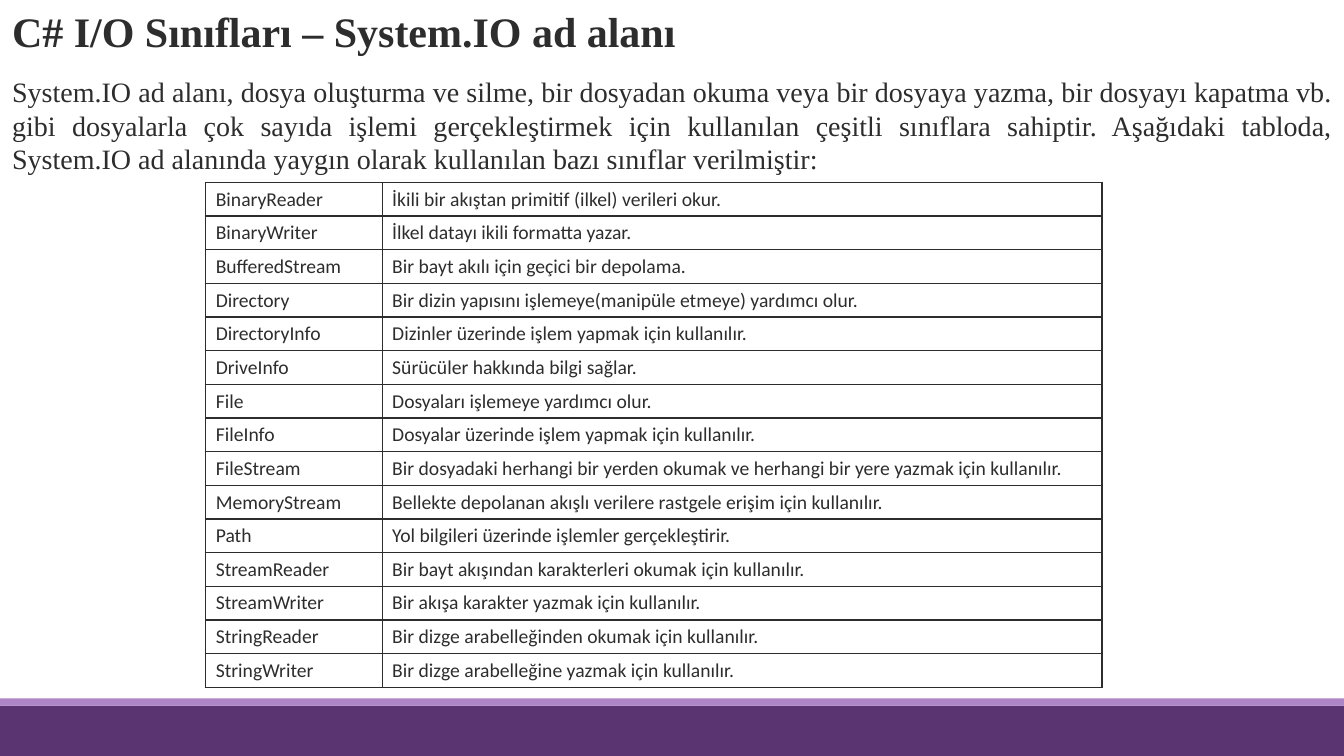
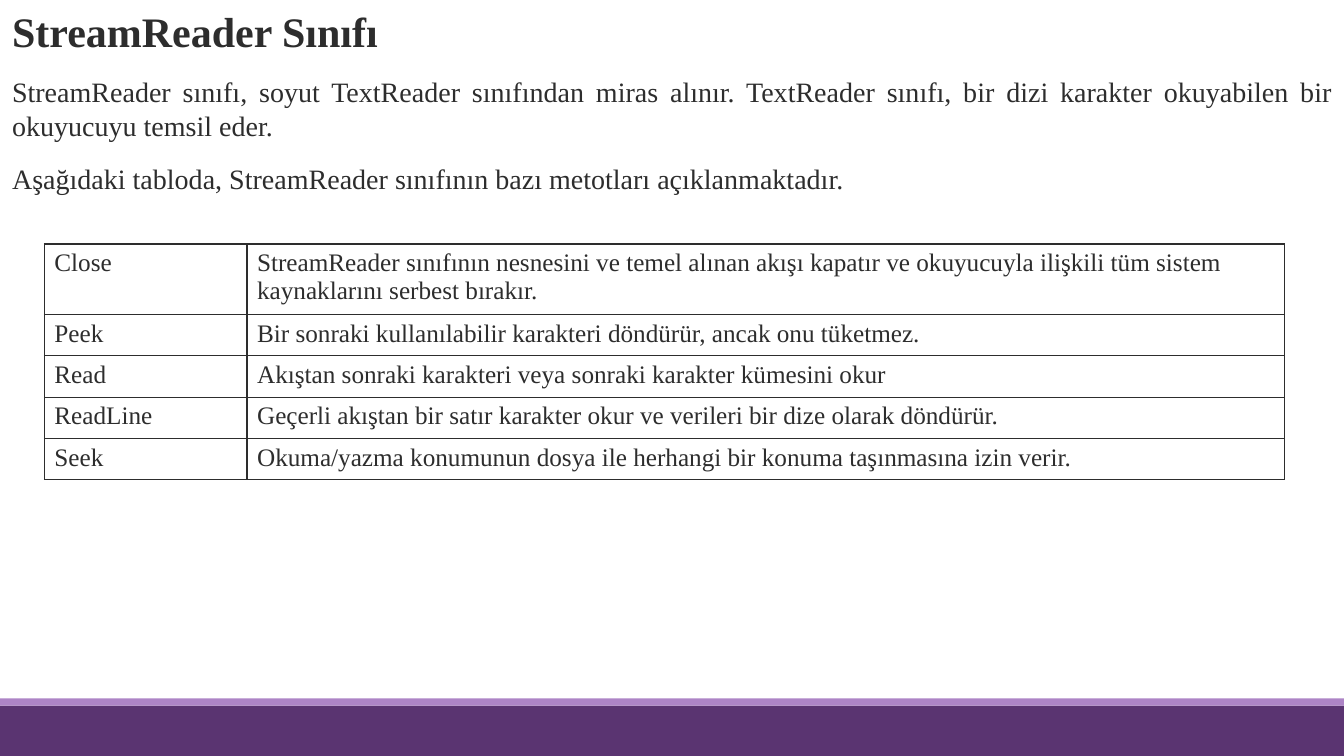
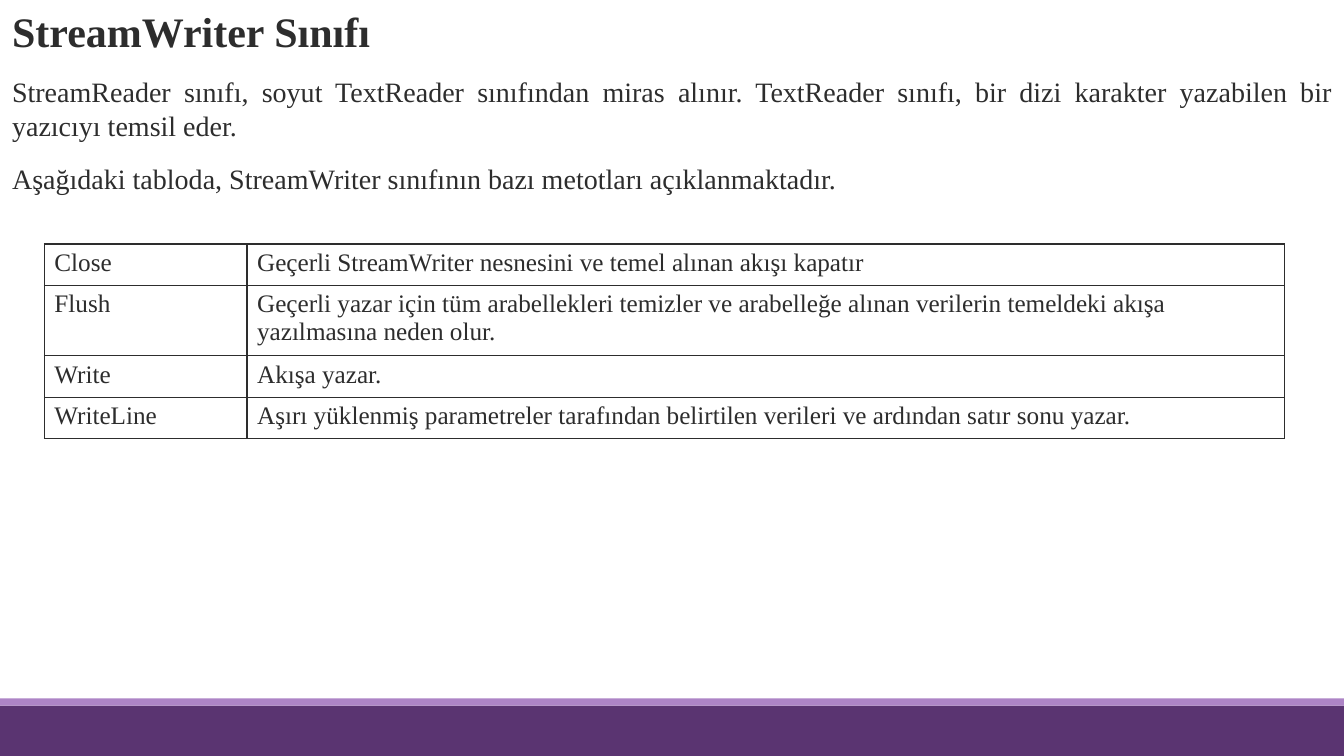
from lxml.etree import SubElement as Sub
from pptx import Presentation
from pptx.dml.color import RGBColor
from pptx.enum.shapes import MSO_SHAPE as Shape
from pptx.enum.text import MSO_ANCHOR as Anchor, PP_ALIGN as Align
from pptx.oxml.ns import qn
from pptx.util import Inches, Pt

INK, DARK, LIGHT = "2D2D2D", "5A3471", "AD84C6"
SERIF, SANS = "Times New Roman", "Calibri"
WIDE, HIGH = 13.33, 7.5

CLASSES = [
    ("BinaryReader", "İkili bir akıştan primitif (ilkel) verileri okur."),
    ("BinaryWriter", "İlkel datayı ikili formatta yazar."),
    ("BufferedStream", "Bir bayt akılı için geçici bir depolama."),
    ("Directory", "Bir dizin yapısını işlemeye(manipüle etmeye) yardımcı olur."),
    ("DirectoryInfo", "Dizinler üzerinde işlem yapmak için kullanılır."),
    ("DriveInfo", "Sürücüler hakkında bilgi sağlar."),
    ("File", "Dosyaları işlemeye yardımcı olur."),
    ("FileInfo", "Dosyalar üzerinde işlem yapmak için kullanılır."),
    ("FileStream", "Bir dosyadaki herhangi bir yerden okumak ve herhangi bir yere "
                   "yazmak için kullanılır."),
    ("MemoryStream", "Bellekte depolanan akışlı verilere rastgele erişim için kullanılır."),
    ("Path", "Yol bilgileri üzerinde işlemler gerçekleştirir."),
    ("StreamReader", "Bir bayt akışından karakterleri okumak için kullanılır."),
    ("StreamWriter", "Bir akışa karakter yazmak için kullanılır."),
    ("StringReader", "Bir dizge arabelleğinden okumak için kullanılır."),
    ("StringWriter", "Bir dizge arabelleğine yazmak için kullanılır."),
]
READER = [
    ("Close", "StreamReader sınıfının nesnesini ve temel alınan akışı kapatır ve "
              "okuyucuyla ilişkili tüm sistem kaynaklarını serbest bırakır."),
    ("Peek", "Bir sonraki kullanılabilir karakteri döndürür, ancak onu tüketmez."),
    ("Read", "Akıştan sonraki karakteri veya sonraki karakter kümesini okur"),
    ("ReadLine", "Geçerli akıştan bir satır karakter okur ve verileri bir dize "
                 "olarak döndürür."),
    ("Seek", "Okuma/yazma konumunun dosya ile herhangi bir konuma taşınmasına izin verir."),
]
WRITER = [
    ("Close", "Geçerli StreamWriter nesnesini ve temel alınan akışı kapatır"),
    ("Flush", "Geçerli yazar için tüm arabellekleri temizler ve arabelleğe alınan "
              "verilerin temeldeki akışa yazılmasına neden olur."),
    ("Write", "Akışa yazar."),
    ("WriteLine", "Aşırı yüklenmiş parametreler tarafından belirtilen verileri ve "
                  "ardından satır sonu yazar."),
]

# Left, top, column widths, line row height, tall row height, font and size
LIST = dict(at=(2.04, 1.81), cols=(1.75, 7.14), row=0.33, tall=0.33, font=SANS, size=14)
GRID = dict(at=(0.44, 2.42), cols=(2.01, 10.29), row=0.41, tall=0.69, font=SERIF, size=18)

PAGES = [
    ("C# I/O Sınıfları – System.IO ad alanı",
     ["System.IO ad alanı, dosya oluşturma ve silme, bir dosyadan okuma veya bir "
      "dosyaya yazma, bir dosyayı kapatma vb. gibi dosyalarla çok sayıda işlemi "
      "gerçekleştirmek için kullanılan çeşitli sınıflara sahiptir. Aşağıdaki tabloda, "
      "System.IO ad alanında yaygın olarak kullanılan bazı sınıflar verilmiştir:"],
     CLASSES, LIST),
    ("StreamReader Sınıfı",
     ["StreamReader sınıfı, soyut TextReader sınıfından miras alınır. TextReader "
      "sınıfı, bir dizi karakter okuyabilen bir okuyucuyu temsil eder.",
      "Aşağıdaki tabloda, StreamReader sınıfının bazı metotları açıklanmaktadır."],
     READER, GRID),
    ("StreamWriter Sınıfı",
     ["StreamReader sınıfı, soyut TextReader sınıfından miras alınır. TextReader "
      "sınıfı, bir dizi karakter yazabilen bir yazıcıyı temsil eder.",
      "Aşağıdaki tabloda, StreamWriter sınıfının bazı metotları açıklanmaktadır."],
     WRITER, GRID),
]


def rgb(code):
    return RGBColor.from_string(code)


def write(frame, *lines, size, font=SERIF, bold=False, align=Align.LEFT,
          before=0, after=0, space=1.0):
    """Fill a text frame with one paragraph per line."""
    for i, line in enumerate(lines):
        para = frame.add_paragraph() if i else frame.paragraphs[0]
        para.alignment, para.line_spacing = align, space
        para.space_before, para.space_after = Pt(before), Pt(after)
        run = para.add_run()
        run.text = line
        run.font.name, run.font.size, run.font.bold = font, Pt(size), bold
        run.font.color.rgb = rgb(INK)


def text_box(slide, box, *lines, anchor=Anchor.TOP, **style):
    frame = slide.shapes.add_textbox(*map(Inches, box)).text_frame
    frame.word_wrap, frame.vertical_anchor = True, anchor
    frame.margin_left = frame.margin_right = 0
    write(frame, *lines, before=12, after=2, **style)


def bands(slide, top, edge=0.07):
    """Draw the footer band with its thin upper edge."""
    for y, tall, tone in ((top, HIGH - top, DARK), (top - edge, edge, LIGHT)):
        band = slide.shapes.add_shape(Shape.RECTANGLE, *map(Inches, (0, y, WIDE, tall)))
        band.shadow.inherit = False
        band.fill.solid()
        band.fill.fore_color.rgb = rgb(tone)
        band.line.fill.background()


def frame_cell(cell):
    """Give a cell thin lines on all sides and no fill."""
    props = cell._tc.get_or_add_tcPr()
    for side in ("lnL", "lnR", "lnT", "lnB"):
        line = Sub(props, qn("a:" + side), w=str(Pt(1)))
        Sub(Sub(line, qn("a:solidFill")), qn("a:srgbClr"), val=INK)
    cell.fill.background()


def table(slide, rows, at, cols, row, tall, font, size):
    """Place a two-column table; texts over one line get the tall row."""
    highs = [tall if len(note) > 100 else row for _, note in rows]
    box = (*at, sum(cols), sum(highs))
    grid = slide.shapes.add_table(len(rows), len(cols), *map(Inches, box)).table
    grid.first_row = grid.horz_banding = False
    for col, wide in zip(grid.columns, cols):
        col.width = Inches(wide)
    for r, (high, texts) in enumerate(zip(highs, rows)):
        grid.rows[r].height = Inches(high)
        for c, text in enumerate(texts):
            cell = grid.cell(r, c)
            write(cell.text_frame, text, size=size, font=font)
            frame_cell(cell)


def page(deck, title, body, rows, look):
    slide = deck.slides.add_slide(deck.slide_layouts[6])
    bands(slide, 7)
    text_box(slide, (0.12, 0, 13.22, 0.67), title, anchor=Anchor.MIDDLE,
             size=30, bold=True, space=0.9)
    text_box(slide, (0.12, 0.69, 13.1, 6.38), *body, size=20, align=Align.JUSTIFY)
    table(slide, rows, **look)


def main():
    deck = Presentation()
    deck.slide_width, deck.slide_height = Inches(WIDE), Inches(HIGH)
    for parts in PAGES:
        page(deck, *parts)
    deck.save("out.pptx")


if __name__ == "__main__":
    main()
